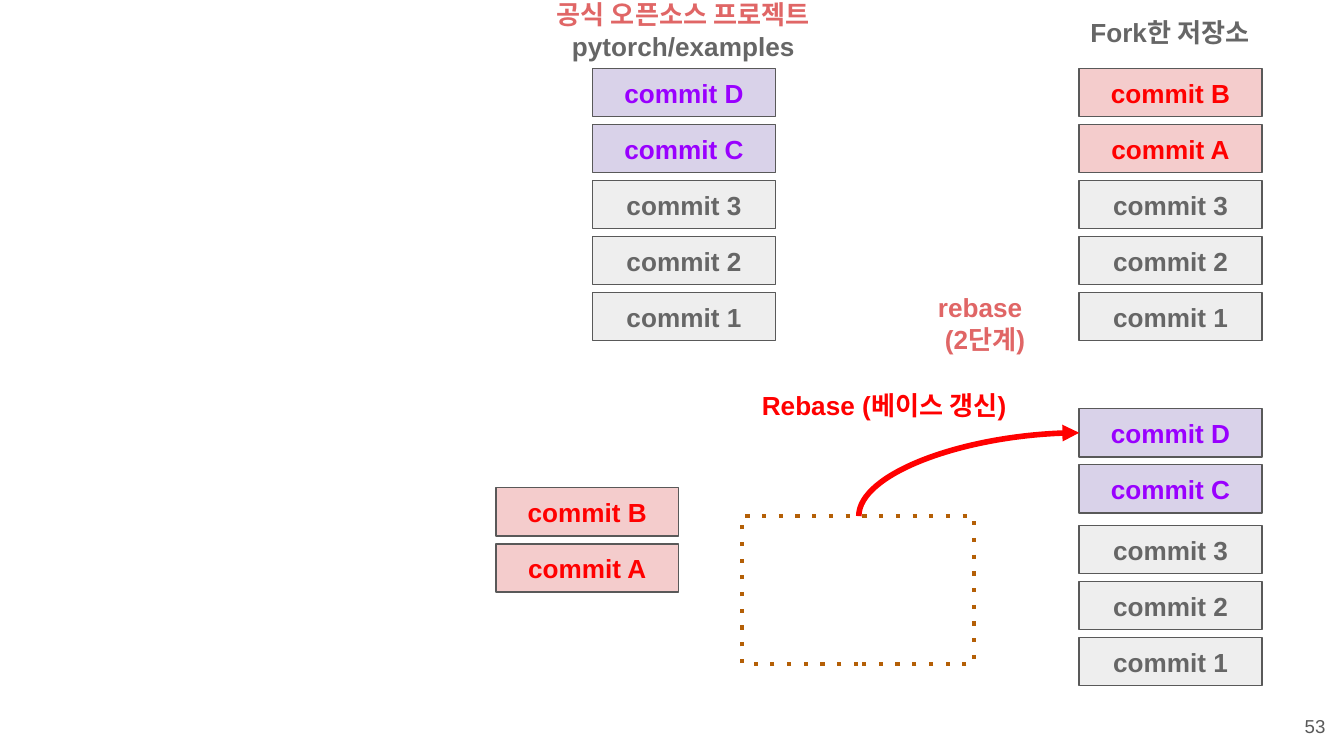
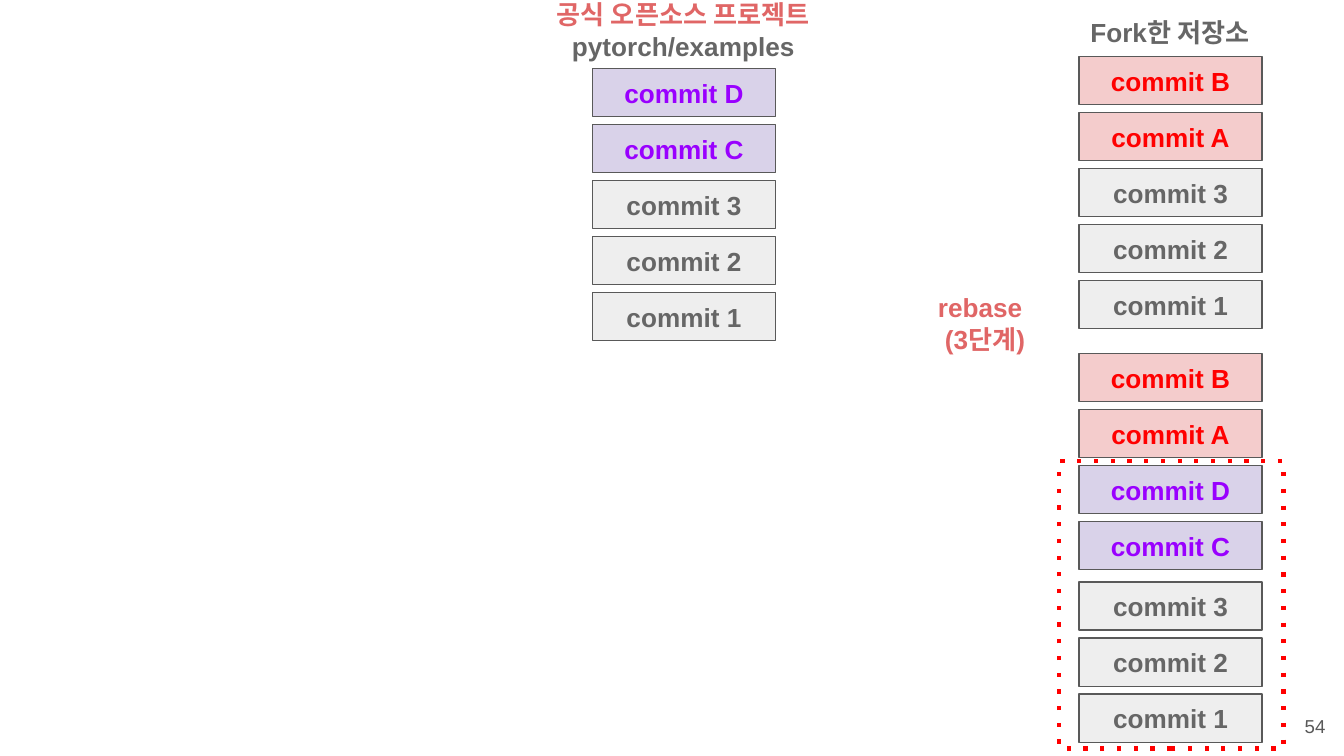
from copy import deepcopy
from dataclasses import dataclass

from lxml import etree
from pptx import Presentation
from pptx.dml.color import RGBColor
from pptx.enum.shapes import MSO_CONNECTOR as Connector, MSO_SHAPE as Preset
from pptx.enum.text import MSO_ANCHOR as Anchor, PP_ALIGN as Align
from pptx.oxml.ns import qn
from pptx.slide import Slide
from pptx.text.text import TextFrame
from pptx.util import Inches, Pt


@dataclass(frozen=True)
class Theme:
    font: str = "Arial"
    body_size: int = 14
    number_size: int = 10
    grey: str = "666666"
    outline: str = "595959"
    red: str = "FF0000"
    rose: str = "E06666"
    purple: str = "9900FF"
    brown: str = "B45F06"
    grey_fill: str = "EEEEEE"
    red_fill: str = "F4CCCC"
    purple_fill: str = "D9D2E9"


THEME = Theme()


@dataclass(frozen=True)
class Box:
    left: float
    top: float
    width: float
    height: float

    def lengths(self) -> list:
        return [Inches(v) for v in (self.left, self.top, self.width, self.height)]


@dataclass(frozen=True)
class Stack:
    """Commits listed from newest to oldest."""
    left: float
    top: float
    commits: str


@dataclass(frozen=True)
class Label:
    box: Box
    lines: tuple[str, ...]
    colors: tuple[str, ...]
    aligns: tuple = (Align.CENTER,)
    size: int = THEME.body_size
    bold: bool = True
    anchor: Anchor = Anchor.TOP


SLIDE_WIDTH = 10
SLIDE_HEIGHT = SLIDE_WIDTH * 9 / 16
COMMIT_WIDTH, COMMIT_HEIGHT = 1.36, 0.36
COMMIT_PITCH = 5 / 12
OFFICIAL_LEFT, FORK_LEFT = 4.41, 8.03

# Commit colours: (fill, text)
MINE = (THEME.red_fill, THEME.red)
UPSTREAM = (THEME.purple_fill, THEME.purple)
SHARED = (THEME.grey_fill, THEME.grey)
COMMIT_COLORS = {"A": MINE, "B": MINE, "C": UPSTREAM, "D": UPSTREAM}

# Parts that both slides share
OFFICIAL_STACK = Stack(OFFICIAL_LEFT, 0.51, "DC321")
HEADINGS = (
    Label(Box(3.5, -0.11, 3.17, 0.36),
          ("공식 오픈소스 프로젝트\vpytorch/examples",), (THEME.rose, THEME.grey)),
    Label(Box(7.12, 0.02, 3.17, 0.36), ("Fork한 저장소",), (THEME.grey,)),
)


def set_text(frame: TextFrame, label: Label) -> None:
    frame.word_wrap = True
    frame.vertical_anchor = label.anchor
    frame.margin_left = frame.margin_right = Inches(0.1)
    frame.margin_top = frame.margin_bottom = Inches(0.1)
    frame.text = "\n".join(label.lines)
    for index, paragraph in enumerate(frame.paragraphs):
        paragraph.alignment = label.aligns[index % len(label.aligns)]
        for part, run in enumerate(paragraph.runs):
            font = run.font
            font.name, font.size, font.bold = THEME.font, Pt(label.size), label.bold
            font.color.rgb = RGBColor.from_string(label.colors[part])
        # Line breaks take the size of the text before them
        for line_break in paragraph._p.findall(qn("a:br")):
            line_break.append(deepcopy(paragraph.runs[0].font._rPr))


def add_label(slide: Slide, label: Label) -> None:
    set_text(slide.shapes.add_textbox(*label.box.lengths()).text_frame, label)


def add_commit(slide: Slide, box: Box, name: str) -> None:
    fill, color = COMMIT_COLORS.get(name, SHARED)
    shape = slide.shapes.add_shape(Preset.RECTANGLE, *box.lengths())
    shape.shadow.inherit = False
    shape.fill.solid()
    shape.fill.fore_color.rgb = RGBColor.from_string(fill)
    shape.line.color.rgb = RGBColor.from_string(THEME.outline)
    shape.line.width = Pt(0.75)
    set_text(shape.text_frame,
             Label(box, (f"commit {name}",), (color,), anchor=Anchor.MIDDLE))


def add_stack(slide: Slide, stack: Stack) -> None:
    for index, name in enumerate(stack.commits):
        top = stack.top + index * COMMIT_PITCH
        add_commit(slide, Box(stack.left, top, COMMIT_WIDTH, COMMIT_HEIGHT), name)


def add_dotted_frame(slide: Slide, box: Box, color: str) -> None:
    shape = slide.shapes.add_shape(Preset.RECTANGLE, *box.lengths())
    shape.shadow.inherit = False
    shape.fill.background()
    shape.line.color.rgb = RGBColor.from_string(color)
    shape.line.width = Pt(2.25)
    etree.SubElement(shape.line._get_or_add_ln(), qn("a:prstDash"), val="dot")


def add_rising_arrow(slide: Slide, x1: float, y1: float, x2: float, y2: float) -> None:
    """Curve that leaves upwards and arrives from the left."""
    center_x, center_y = (x1 + x2) / 2, (y1 + y2) / 2
    half_width, half_height = (y1 - y2) / 2, (x2 - x1) / 2
    connector = slide.shapes.add_connector(
        Connector.CURVE,
        Inches(center_x - half_width), Inches(center_y - half_height),
        Inches(center_x + half_width), Inches(center_y + half_height))
    connector.line.color.rgb = RGBColor.from_string(THEME.red)
    connector.line.width = Pt(3)
    # A quarter curve turned by 270 degrees
    properties = connector._element.spPr
    properties.find(qn("a:xfrm")).set("rot", str(270 * 60000))
    properties.find(qn("a:prstGeom")).set("prst", "curvedConnector2")
    etree.SubElement(connector.line._get_or_add_ln(), qn("a:tailEnd"), type="triangle")
    etree.SubElement(properties, qn("a:effectLst"))


def add_rebase_slide(presentation: Presentation, number: int, step: int,
                     stacks: tuple[Stack, ...]) -> Slide:
    slide = presentation.slides.add_slide(presentation.slide_layouts[6])
    for stack in (OFFICIAL_STACK, *stacks):
        add_stack(slide, stack)
    for heading in HEADINGS:
        add_label(slide, heading)
    add_label(slide, Label(Box(6.88, 2.07, 0.9, 0.58), ("rebase", f"({step}단계)"),
                           (THEME.rose,), (Align.LEFT, Align.CENTER)))
    add_label(slide, Label(Box(9.36, 5.19, 0.6, 0.43), (str(number),), (THEME.outline,),
                           (Align.RIGHT,), THEME.number_size, False, Anchor.MIDDLE))
    return slide


def main() -> None:
    presentation = Presentation()
    presentation.slide_width = Inches(SLIDE_WIDTH)
    presentation.slide_height = Inches(SLIDE_HEIGHT)

    # Step 2: the base is updated
    slide = add_rebase_slide(presentation, 53, 2, (
        Stack(FORK_LEFT, 0.51, "BA321"),
        Stack(3.69, 3.63, "BA"),
        Stack(FORK_LEFT, 3.04, "DC"),
        Stack(FORK_LEFT, 3.91, "321")))
    add_dotted_frame(slide, Box(5.52, 3.84, 1.73, 1.1), THEME.brown)
    add_rising_arrow(slide, 6.39, 3.84, FORK_LEFT, 3.22)
    add_label(slide, Label(Box(5.57, 2.8, 2.13, 0.43), ("Rebase (베이스 갱신)",),
                           (THEME.red,), (Align.LEFT,)))

    # Step 3: own commits go on top of the new base
    slide = add_rebase_slide(presentation, 54, 3, (
        Stack(FORK_LEFT, 0.42, "BA321"),
        Stack(FORK_LEFT, 2.63, "BADC"),
        Stack(FORK_LEFT, 4.33, "321")))
    add_dotted_frame(slide, Box(7.88, 3.43, 1.67, 2.14), THEME.red)

    presentation.save("out.pptx")


if __name__ == "__main__":
    main()
